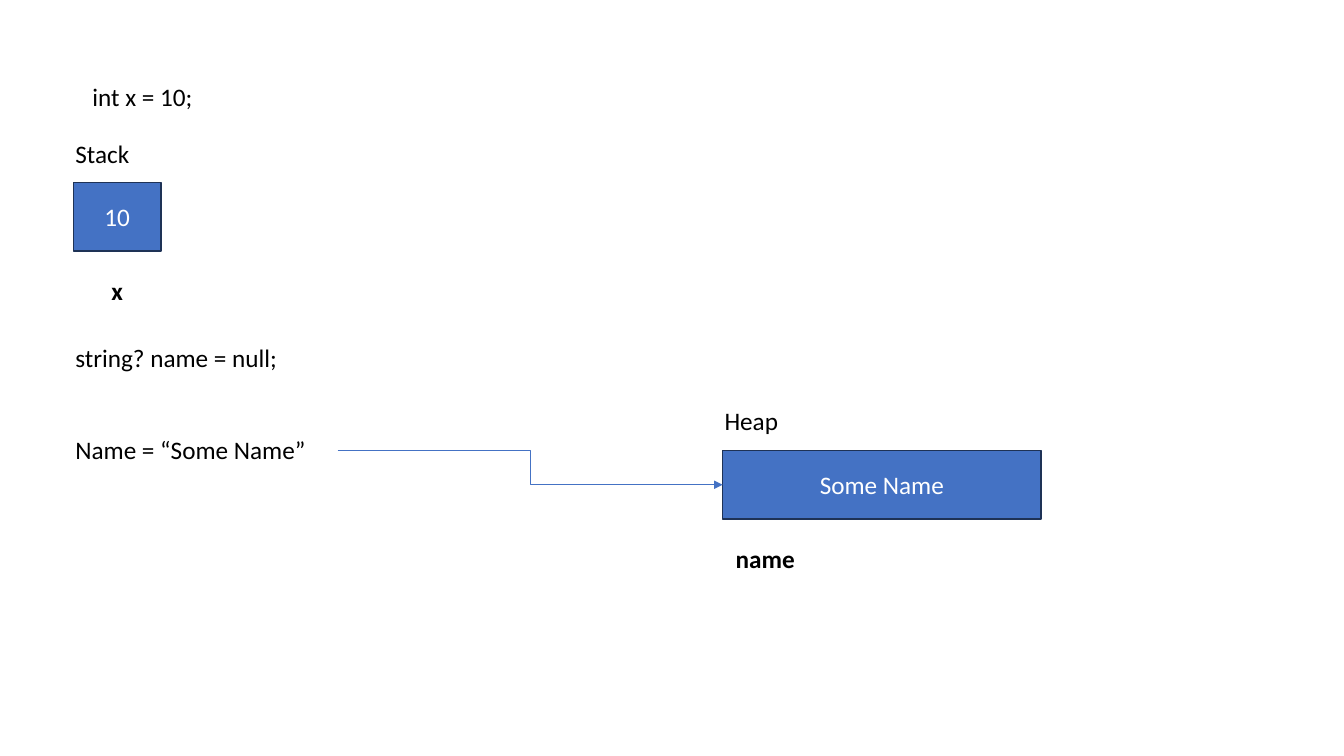
from lxml import etree
from pptx import Presentation
from pptx.dml.color import RGBColor
from pptx.enum.shapes import MSO_CONNECTOR, MSO_SHAPE
from pptx.enum.text import MSO_ANCHOR, PP_ALIGN
from pptx.oxml.ns import qn
from pptx.util import Cm, Pt

RECTANGLE, ELBOW = MSO_SHAPE.RECTANGLE, MSO_CONNECTOR.ELBOW
LEFT, CENTER, MIDDLE = PP_ALIGN.LEFT, PP_ALIGN.CENTER, MSO_ANCHOR.MIDDLE
BLUE = RGBColor(0x44, 0x72, 0xC4)
NAVY = RGBColor(0x1E, 0x32, 0x56)
BLACK = RGBColor(0, 0, 0)
WHITE = RGBColor(255, 255, 255)
BODY_FONT = {"name": "Calibri", "size": Pt(18)}

# Statements: lines, left, top, height (cm)
STATEMENTS = [
    (["int x = 10;"], 2.08, 1.93, 1.02),
    (["string? name = null;", "Name = “Some Name”"], 1.65, 8.51, 3.33),
]
STATEMENT_WIDTH = 9.09
STATEMENT_GAP = Pt(44)

# Memory cells: region, value, variable, left, top, width, variable left, variable width (cm)
CELLS = [
    ("Stack", "10", "x", 1.85, 4.6, 2.21, 1.85, 2.21),
    ("Heap", "Some Name", "name", 18.21, 11.35, 8.03, 18.08, 2.41),
]
CELL_HEIGHT, LABEL_HEIGHT = 1.73, 1.02
REGION_WIDTH, REGION_INDENT, REGION_RISE = 3.73, 0.2, 1.25
VARIABLE_DROP = 2.22
REFERENCE_START = (8.51, 11.35)


def write(frame, lines, align=LEFT, color=BLACK, bold=False):
    frame.word_wrap = True
    for index, line in enumerate(lines):
        paragraph = frame.add_paragraph() if index else frame.paragraphs[0]
        paragraph.text = line
        paragraph.alignment = align
        if index:
            paragraph.space_before = STATEMENT_GAP
        for attribute, setting in {**BODY_FONT, "bold": bold}.items():
            setattr(paragraph.font, attribute, setting)
        paragraph.font.color.rgb = color


def add_label(slide, lines, left, top, width, height=LABEL_HEIGHT, **style):
    label = slide.shapes.add_textbox(Cm(left), Cm(top), Cm(width), Cm(height))
    write(label.text_frame, lines, **style)


def add_cell(slide, content, left, top, width):
    cell = slide.shapes.add_shape(RECTANGLE, Cm(left), Cm(top), Cm(width), Cm(CELL_HEIGHT))
    cell.shadow.inherit = False
    cell.fill.solid()
    cell.fill.fore_color.rgb = BLUE
    cell.line.color.rgb = NAVY
    cell.line.width = Pt(1)
    cell.text_frame.vertical_anchor = MIDDLE
    write(cell.text_frame, [content], align=CENTER, color=WHITE)
    return cell


def add_reference(slide, start, target):
    """Draw an elbow arrow from a point to the left side of a cell."""
    x, y = map(Cm, start)
    arrow = slide.shapes.add_connector(ELBOW, x, y, target.left, target.top + target.height // 2)
    arrow.end_connect(target, 1)
    arrow.line.color.rgb = BLUE
    arrow.line.width = Pt(0.5)
    properties = arrow._element.spPr
    etree.SubElement(properties.find(qn("a:ln")), qn("a:tailEnd"), type="triangle")
    etree.SubElement(properties, qn("a:effectLst"))


def main():
    deck = Presentation()
    deck.slide_width, deck.slide_height = Cm(33.87), Cm(19.05)
    slide = deck.slides.add_slide(deck.slide_layouts[6])

    for lines, left, top, height in STATEMENTS:
        add_label(slide, lines, left, top, STATEMENT_WIDTH, height)

    cells = {}
    for region, content, variable, left, top, width, variable_left, variable_width in CELLS:
        add_label(slide, [region], left - REGION_INDENT, top - REGION_RISE, REGION_WIDTH)
        cells[region] = add_cell(slide, content, left, top, width)
        add_label(slide, [variable], variable_left, top + VARIABLE_DROP, variable_width,
                  align=CENTER, bold=True)

    add_reference(slide, REFERENCE_START, cells["Heap"])
    deck.save("out.pptx")


if __name__ == "__main__":
    main()
